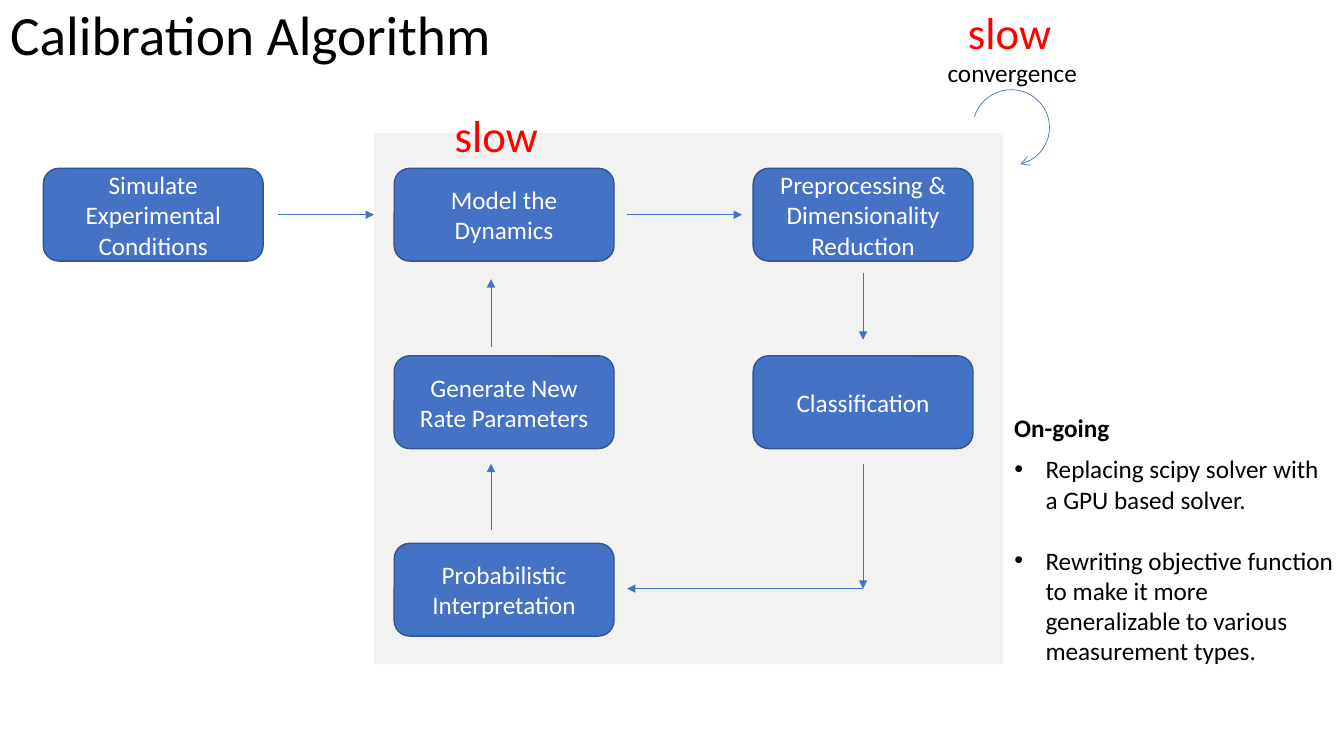
from lxml import etree
from pptx import Presentation
from pptx.dml.color import RGBColor
from pptx.enum import shapes, text
from pptx.oxml import ns
from pptx.util import Inches, Pt

BLACK, WHITE, RED = "000000", "FFFFFF", "FF0000"
BLUE, DARK_BLUE, GREY = "4472C4", "325491", "F2F2F2"
SHAPE, ALIGN = shapes.MSO_SHAPE, text.PP_ALIGN


def rgb(value):
    return RGBColor.from_string(value)


def write(tf, lines, size=18, color=BLACK, bold=False, align=ALIGN.LEFT,
          spacing=1.0, gap=0, indent=None, anchor=text.MSO_ANCHOR.TOP,
          wrap=True, fit=text.MSO_AUTO_SIZE.NONE):
    """Fill a text frame, one paragraph a line; an indent makes bullets."""
    tf.word_wrap, tf.auto_size, tf.vertical_anchor = wrap, fit, anchor
    for i, line in enumerate(lines):
        p = tf.add_paragraph() if i else tf.paragraphs[0]
        p.alignment, p.line_spacing = align, spacing
        p.space_before = Pt(gap if i else 0)
        if indent:
            pPr = p._p.get_or_add_pPr()
            pPr.set("marL", str(Inches(indent)))
            pPr.set("indent", str(-Inches(indent)))
            etree.SubElement(pPr, ns.qn("a:buFont")).set("typeface", "Arial")
            etree.SubElement(pPr, ns.qn("a:buChar")).set("char", "•")
        r = p.add_run()
        r.text = line
        r.font.name, r.font.size, r.font.bold = "Calibri", Pt(size), bold
        r.font.color.rgb = rgb(color)


class Diagram:
    """Style and elements of the current slide."""

    box_w, box_h = 2.18, 0.92

    def __init__(self, prs):
        self.s = prs.slides.add_slide(prs.slide_layouts[1])

    def placeholder(self, index, lines, x, y, w, h, **fmt):
        sp = self.s.placeholders[index]
        sp.left, sp.top, sp.width, sp.height = map(Inches, (x, y, w, h))
        write(sp.text_frame, lines, **fmt)

    def shape(self, kind, x, y, w, h, fill=None, line=None, width=1):
        sp = self.s.shapes.add_shape(kind, *map(Inches, (x, y, w, h)))
        sp.shadow.inherit = False
        if fill:
            sp.fill.solid()
            sp.fill.fore_color.rgb = rgb(fill)
        else:
            sp.fill.background()
        if line:
            sp.line.color.rgb, sp.line.width = rgb(line), Pt(width)
        else:
            sp.line.fill.background()
        return sp

    def box(self, x, y, *lines):
        sp = self.shape(SHAPE.ROUNDED_RECTANGLE, x, y, self.box_w, self.box_h,
                        BLUE, DARK_BLUE)
        write(sp.text_frame, lines, color=WHITE, align=ALIGN.CENTER,
              anchor=text.MSO_ANCHOR.MIDDLE)

    def label(self, words, x, y, w, h, **fmt):
        sp = self.s.shapes.add_textbox(*map(Inches, (x, y, w, h)))
        write(sp.text_frame, [words],
              fit=text.MSO_AUTO_SIZE.SHAPE_TO_FIT_TEXT, **fmt)

    def head(self, sp, kind):
        """Put an arrowhead at the end of a line."""
        etree.SubElement(sp.line._get_or_add_ln(),
                         ns.qn("a:tailEnd")).set("type", kind)

    def arrow(self, x1, y1, x2, y2):
        c = self.s.shapes.add_connector(shapes.MSO_CONNECTOR.STRAIGHT,
                                        *map(Inches, (x1, y1, x2, y2)))
        c.line.color.rgb, c.line.width = rgb(BLUE), Pt(0.5)
        self.head(c, "triangle")
        etree.SubElement(c._element.spPr, ns.qn("a:effectLst"))

    def loop(self, x, y, w, h, start, end):
        sp = self.shape(SHAPE.ARC, x, y, w, h, line=BLUE, width=0.5)
        sp.adjustments[0], sp.adjustments[1] = start, end
        self.head(sp, "arrow")


def main():
    prs = Presentation()
    prs.slide_width, prs.slide_height = Inches(13.33), Inches(7.5)
    d = Diagram(prs)

    d.placeholder(0, ["Calibration Algorithm"], 0, 0, 13.33, 0.75, size=39.6,
                  spacing=0.9, anchor=text.MSO_ANCHOR.MIDDLE)
    d.placeholder(1, [
        "Replacing scipy solver with a GPU based solver.",
        "Rewriting objective function to make it more generalizable to "
        "various measurement types.",
    ], 9.96, 4.45, 3.37, 2.22, gap=22, indent=0.31)

    d.shape(SHAPE.RECTANGLE, 3.71, 1.32, 6.24, 5.27, GREY)

    start, left, right = 0.43, 3.91, 7.47
    top, middle, bottom = (1.67 + 1.86 * row for row in range(3))
    d.box(start, top, "Simulate Experimental Conditions")
    d.box(left, top, "Model the Dynamics")
    d.box(right, top, "Preprocessing &", "Dimensionality Reduction")
    d.box(right, middle, "Classification")
    d.box(left, bottom, "Probabilistic Interpretation")
    d.box(left, middle, "Generate New", "Rate Parameters")

    top_axis, bottom_axis = top + d.box_h / 2, 5.84
    up, down = 4.87, right + d.box_w / 2
    d.arrow(2.76, top_axis, 3.71, top_axis)
    d.arrow(6.22, top_axis, 7.36, top_axis)
    d.arrow(down, 2.71, down, 3.37)
    d.arrow(down, 4.6, down, bottom_axis)
    d.arrow(down, bottom_axis, 6.22, bottom_axis)
    d.arrow(up, 5.26, up, 4.6)
    d.arrow(up, 3.44, up, 2.77)
    d.loop(9.65, 0.89, 0.76, 0.75, 117.52, 45.65)

    d.label("convergence", 9.3, 0.52, 1.5, 0.4, wrap=False)
    d.label("slow", 4.41, 1.02, 1.3, 0.64, size=32, color=RED)
    d.label("slow", 9.5, 0, 2.61, 0.64, size=32, color=RED)
    d.label("On-going", 9.96, 4.04, 1.15, 0.4, bold=True, wrap=False)

    prs.save("out.pptx")


if __name__ == "__main__":
    main()
